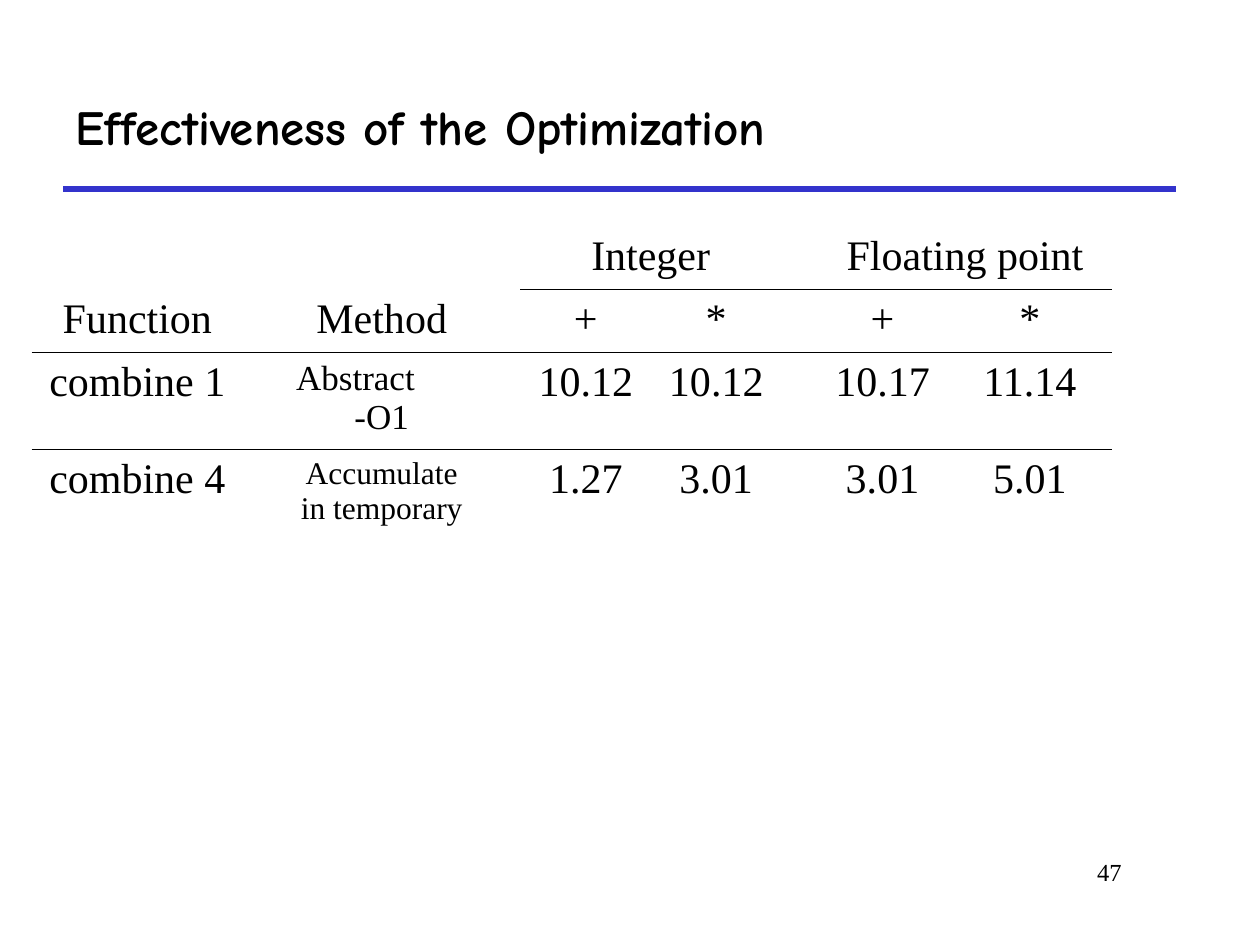
from dataclasses import dataclass

from lxml import etree
from pptx import Presentation
from pptx.dml.color import RGBColor
from pptx.enum.shapes import MSO_CONNECTOR
from pptx.enum.text import MSO_ANCHOR, PP_ALIGN
from pptx.oxml.ns import qn
from pptx.util import Inches, Pt

LEFT, CENTER, RIGHT = PP_ALIGN.LEFT, PP_ALIGN.CENTER, PP_ALIGN.RIGHT
STRAIGHT = MSO_CONNECTOR.STRAIGHT
TITLE_ONLY = 5
NO_TABLE_STYLE = "{2D5ABB26-0587-4C30-8999-92F81FD0307C}"


@dataclass(frozen=True)
class Theme:
    ink: RGBColor = RGBColor(0x00, 0x00, 0x00)
    accent: RGBColor = RGBColor(0x33, 0x33, 0xCC)
    title_font: str = "Comic Neue"
    body_font: str = "Times New Roman"
    title_size: float = 28
    table_size: float = 24
    abstract_size: float = 20
    accumulate_size: float = 18
    number_size: float = 14
    rule_width: float = 3
    border_width: float = 0.45


THEME = Theme()

COLUMNS = [1.68, 0.28, 1.64, 0.28, 1.04, 1.03, 0.29, 1.03, 1.31]
ROWS = [0.5, 0.5, 0.77, 0.7]
FUNCTION, METHOD, INTEGER, FLOATING = 0, 2, 4, 7
VALUE_COLUMNS = [4, 5, 7, 8]
HEADING, SUBHEADING = 0, 1
RESULTS = [
    ("combine 1", [("Abstract", LEFT), ("-O1", CENTER)], THEME.abstract_size,
     ["10.12", "10.12", "10.17", "11.14"]),
    ("combine 4", [("Accumulate in temporary", CENTER)], THEME.accumulate_size,
     ["1.27", "3.01", "3.01", "5.01"]),
]


def add_span(para, text, size, align, font=THEME.body_font, bold=False):
    para.alignment = align
    span = para.add_run()
    span.text = text
    span.font.name = font
    span.font.size = Pt(size)
    span.font.bold = bold
    span.font.color.rgb = THEME.ink


def write_cell(cell, text, size=THEME.table_size):
    add_span(cell.text_frame.paragraphs[0], text, size, CENTER)


def write_method(cell, lines, size):
    """Fill a method cell, one aligned paragraph for each line."""
    frame = cell.text_frame
    for index, (text, align) in enumerate(lines):
        para = frame.add_paragraph() if index else frame.paragraphs[0]
        add_span(para, text, size, align)
        if align == LEFT:
            para._p.get_or_add_pPr().set("marL", str(Inches(0.04)))


def add_border(cell, side):
    """Draw one side of a cell: lnT for the top, lnB for the bottom."""
    line = etree.Element(qn("a:" + side), w=str(Pt(THEME.border_width)))
    fill = etree.SubElement(line, qn("a:solidFill"))
    etree.SubElement(fill, qn("a:srgbClr"), val=str(THEME.ink))
    properties = cell._tc.get_or_add_tcPr()
    borders = [child for child in properties if child.tag == qn("a:lnT")]
    properties.insert(len(borders), line)


def underline_row(table, row, first_column):
    for column in range(first_column, len(COLUMNS)):
        add_border(table.cell(row, column), "lnB")
        add_border(table.cell(row + 1, column), "lnT")


def build_title(page, left, top, width, height):
    title = page.shapes.title
    title.left, title.top, title.width, title.height = left, top, width, height
    frame = title.text_frame
    frame.vertical_anchor = MSO_ANCHOR.MIDDLE
    add_span(frame.paragraphs[0], "Effectiveness of the Optimization",
             THEME.title_size, LEFT, THEME.title_font, bold=True)

    bottom = top + height
    rule = page.shapes.add_connector(STRAIGHT, left, bottom, left + width, bottom)
    rule.line.color.rgb = THEME.accent
    rule.line.width = Pt(THEME.rule_width)
    etree.SubElement(rule._element.spPr, qn("a:effectLst"))


def build_results(page, left, top, width, height):
    frame = page.shapes.add_table(len(ROWS), len(COLUMNS), left, top, width, height)
    table = frame.table
    table.first_row = table.horz_banding = False
    table._tbl.tblPr.find(qn("a:tableStyleId")).text = NO_TABLE_STYLE
    for column, share in zip(table.columns, COLUMNS):
        column.width = int(width * share / sum(COLUMNS))
    for row, share in zip(table.rows, ROWS):
        row.height = int(height * share / sum(ROWS))
    for cell in table.iter_cells():
        cell.fill.background()

    for column, text in [(INTEGER, "Integer"), (FLOATING, "Floating point")]:
        cell = table.cell(HEADING, column)
        cell.merge(table.cell(HEADING, column + 1))
        write_cell(cell, text)
    write_cell(table.cell(SUBHEADING, FUNCTION), "Function")
    write_cell(table.cell(SUBHEADING, METHOD), "Method")
    for column, sign in zip(VALUE_COLUMNS, "+*+*"):
        write_cell(table.cell(SUBHEADING, column), sign)

    for row, (name, method, size, values) in enumerate(RESULTS, SUBHEADING + 1):
        write_cell(table.cell(row, FUNCTION), name)
        write_method(table.cell(row, METHOD), method, size)
        for column, value in zip(VALUE_COLUMNS, values):
            write_cell(table.cell(row, column), value)

    underline_row(table, HEADING, INTEGER)
    underline_row(table, SUBHEADING, FUNCTION)


def build_page_number(page, left, top, width, height):
    frame = page.shapes.add_textbox(left, top, width, height).text_frame
    frame.word_wrap = True
    add_span(frame.paragraphs[0], "47", THEME.number_size, RIGHT)


def main():
    deck = Presentation()
    deck.slide_width, deck.slide_height = Inches(10), Inches(7.5)
    page = deck.slides.add_slide(deck.slide_layouts[TITLE_ONLY])
    build_title(page, Inches(0.5), Inches(0.5), Inches(8.83), Inches(1))
    build_results(page, Inches(0.25), Inches(1.8), Inches(8.58), Inches(2.47))
    build_page_number(page, Inches(7.58), Inches(6.75), Inches(1.42), Inches(0.5))
    deck.save("out.pptx")


if __name__ == "__main__":
    main()
